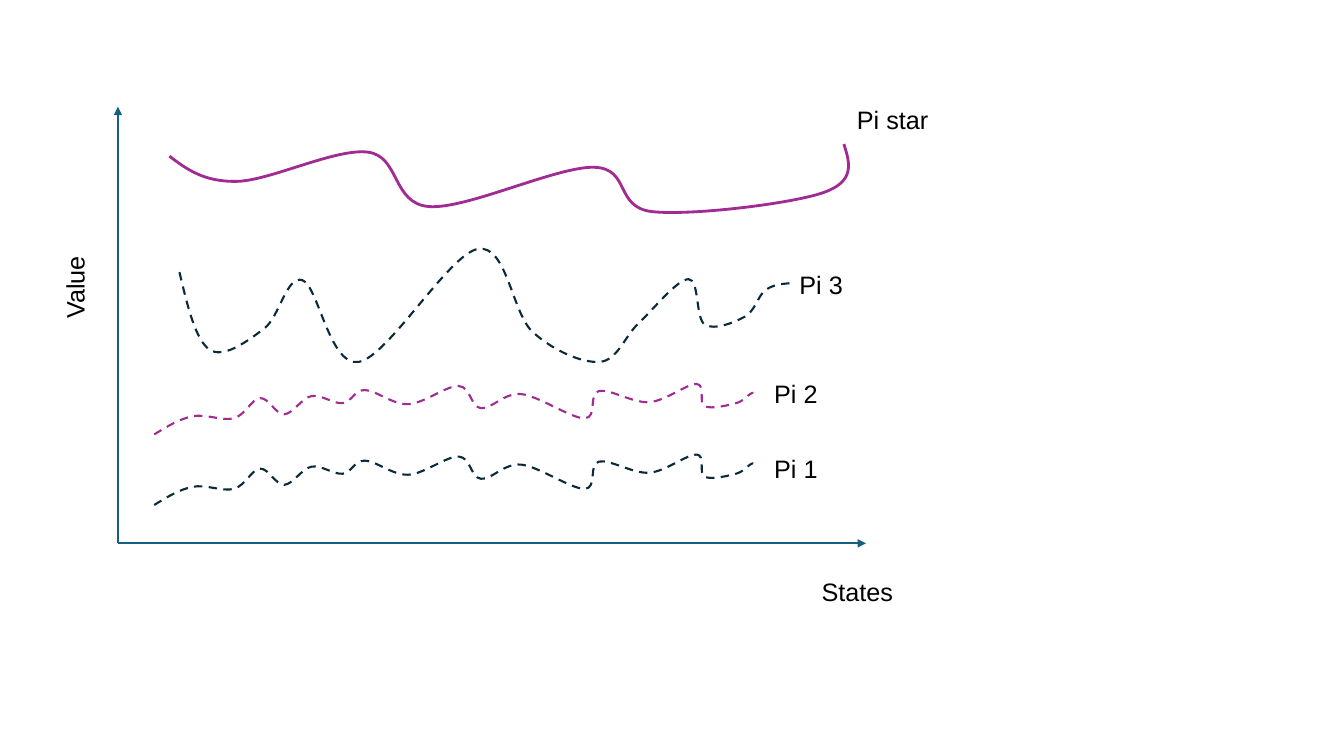
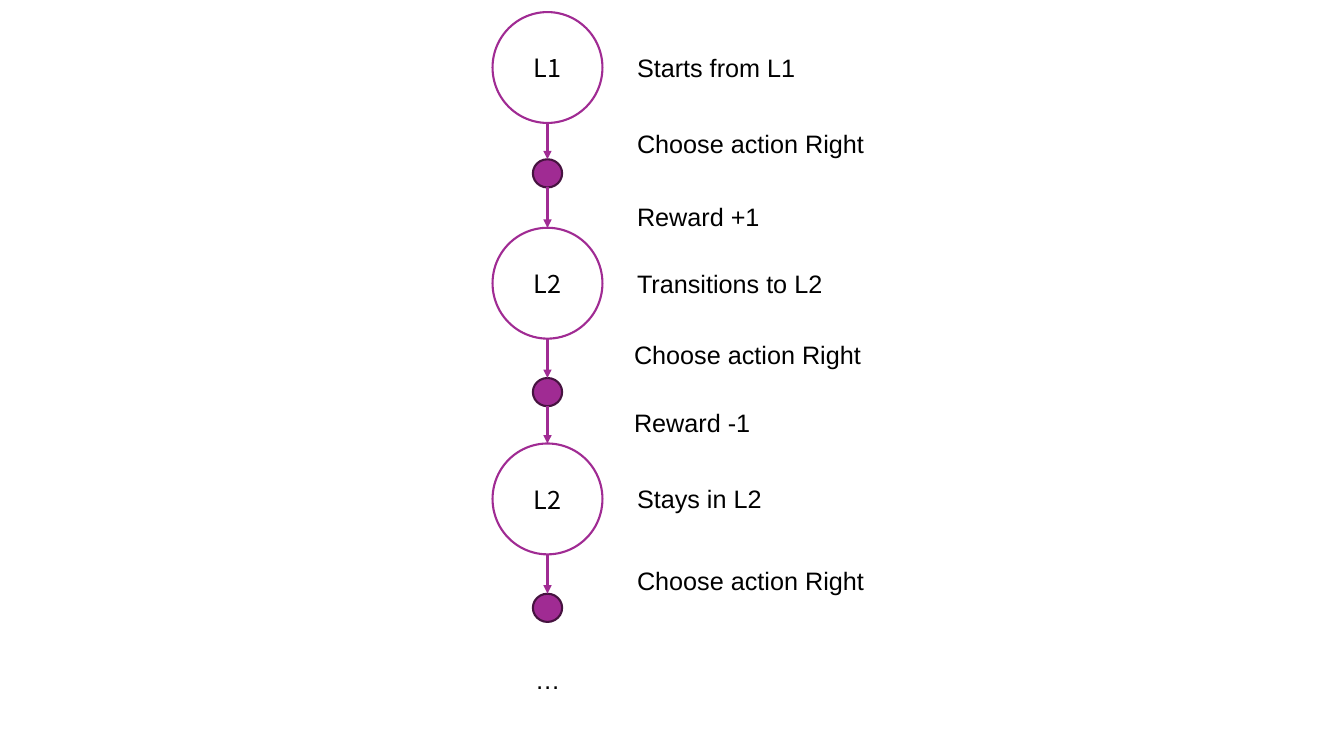
"""Build two slides: value curves of policies, and a chain of states and actions."""
from dataclasses import dataclass
from itertools import chain

from lxml.etree import SubElement
from pptx import Presentation
from pptx.dml.color import RGBColor
from pptx.enum.dml import MSO_LINE_DASH_STYLE as Dash
from pptx.enum.shapes import MSO_CONNECTOR as Connector
from pptx.enum.shapes import MSO_SHAPE as Preset
from pptx.enum.text import MSO_ANCHOR as Anchor
from pptx.enum.text import PP_ALIGN as Align
from pptx.oxml.ns import qn
from pptx.shapes.base import BaseShape
from pptx.slide import Slide
from pptx.text.text import TextFrame
from pptx.util import Inches, Pt

Point = tuple[float, float]


@dataclass(frozen=True)
class Theme:
    """Colours, fonts and sizes shared by the slides."""
    axis: str = "156082"
    ink: str = "092A39"
    accent: str = "A02B93"
    accent_dark: str = "461340"
    paper: str = "FFFFFF"
    text: str = "000000"
    label_font: str = "Arial"
    state_font: str = "Noto Sans CJK JP"
    size: float = 18
    thin: float = 1.5
    thick: float = 2


@dataclass(frozen=True)
class Label:
    """A line of text with its place, width and rotation."""
    text: str
    left: float
    top: float
    width: float = 1.45
    rotation: float = 0


@dataclass(frozen=True)
class Curve:
    """A policy's smooth curve through its turning points, with its label."""
    turns: tuple[Point, ...]
    label: Label
    color: str
    weight: float = 1.5
    dashed: bool = True
    shift: float = 0


@dataclass(frozen=True)
class Circle:
    """A round node of the chain, centred on its axis."""
    top: float
    width: float
    height: float
    fill: str
    line: str
    text: str = ""

    @property
    def bottom(self) -> float:
        """Return the lower edge."""
        return self.top + self.height


@dataclass(frozen=True)
class Step:
    """A state with its note, and the top of the action below it."""
    state: str
    note: str
    action_top: float


THEME = Theme()
LABEL_HEIGHT = 0.4

ORIGIN = (1.17, 5.39)
AXIS_ENDS = ((1.17, 1.06), (8.59, 5.39))
AXIS_LABELS = (Label("Value", 0.31, 2.63, 0.86, 270), Label("States", 8.05, 5.67))

WAVY_TURNS = (
    (1.53, 5.01), (1.91, 4.83), (2.32, 4.85), (2.58, 4.65), (2.82, 4.81), (3.09, 4.63),
    (3.4, 4.7), (3.62, 4.57), (4.05, 4.71), (4.55, 4.53), (4.77, 4.75), (5.17, 4.61),
    (5.8, 4.85), (5.94, 4.58), (6.44, 4.69), (6.91, 4.51), (6.99, 4.73), (7.3, 4.7),
    (7.44, 4.61), (7.47, 4.6),
)
STEEP_TURNS = (
    (1.78, 2.7), (2.08, 3.47), (2.62, 3.26), (3, 2.78), (3.56, 3.59), (4.74, 2.47),
    (5.28, 3.29), (5.95, 3.59), (6.34, 3.2), (6.83, 2.77), (6.99, 3.22), (7.39, 3.14),
    (7.59, 2.88), (7.83, 2.81),
)
BEST_TURNS = (
    (1.68, 1.55), (2.35, 1.8), (3.65, 1.51), (4.26, 2.05), (5.89, 1.66), (6.47, 2.1),
    (8.17, 1.91), (8.37, 1.43),
)
CURVES = (
    Curve(WAVY_TURNS, Label("Pi 1", 7.58, 4.45), THEME.ink),
    Curve(WAVY_TURNS, Label("Pi 2", 7.58, 3.7), THEME.accent, shift=-0.7),
    Curve(STEEP_TURNS, Label("Pi 3", 7.83, 2.62), THEME.ink),
    Curve(BEST_TURNS, Label("Pi star", 8.4, 0.99), THEME.accent, THEME.thick, dashed=False),
)

CHAIN_X = 5.43
FIRST_STATE_TOP, STATE_PITCH = 0.12, 2.14
STATE_WIDTH, STATE_HEIGHT = 1.09, 1.1
ACTION_WIDTH, ACTION_HEIGHT = 0.29, 0.28
NOTE_LEFT, INNER_NOTE_LEFT, NOTE_WIDTH = 6.22, 6.19, 2.6
STEPS = (
    Step("L1", "Starts from L1", 1.58),
    Step("L2", "Transitions to L2", 3.75),
    Step("L2", "Stays in L2", 5.89),
)
ACTION_NOTES = (
    Label("Choose action Right", NOTE_LEFT, 1.22, NOTE_WIDTH),
    Label("Reward +1", NOTE_LEFT, 1.95, NOTE_WIDTH),
    Label("Choose action Right", INNER_NOTE_LEFT, 3.32, NOTE_WIDTH),
    Label("Reward -1", INNER_NOTE_LEFT, 3.99, NOTE_WIDTH),
    Label("Choose action Right", NOTE_LEFT, 5.56, NOTE_WIDTH),
    Label("…", 5.21, 6.54, 0.5),
)


def style_line(shape: BaseShape, color: str, weight: float) -> None:
    """Set the colour and weight of an outline."""
    shape.line.color.rgb = RGBColor.from_string(color)
    shape.line.width = Pt(weight)


def write_text(frame: TextFrame, text: str, font: str, align: Align) -> None:
    """Write one formatted paragraph."""
    para = frame.paragraphs[0]
    para.alignment = align
    span = para.add_run()
    span.text = text
    for name, value in {"name": font, "size": Pt(THEME.size)}.items():
        setattr(span.font, name, value)
    span.font.color.rgb = RGBColor.from_string(THEME.text)


def add_label(page: Slide, label: Label) -> None:
    """Add a text box for a label."""
    box = page.shapes.add_textbox(
        Inches(label.left), Inches(label.top), Inches(label.width), Inches(LABEL_HEIGHT)
    )
    box.rotation = label.rotation
    box.text_frame.word_wrap = True
    write_text(box.text_frame, label.text, THEME.label_font, Align.LEFT)


def add_arrow(page: Slide, start: Point, end: Point, color: str, weight: float) -> None:
    """Add a straight arrow without a shadow."""
    ends = (Inches(value) for value in (*start, *end))
    arrow = page.shapes.add_connector(Connector.STRAIGHT, *ends)
    style_line(arrow, color, weight)
    properties = arrow._element.spPr
    SubElement(properties.find(qn("a:ln")), qn("a:tailEnd"), type="triangle")
    SubElement(properties, qn("a:effectLst"))


def blend(start: Point, end: Point, share: float) -> Point:
    """Return the point a share of the way from start to end."""
    return tuple(a + (b - a) * share for a, b in zip(start, end))


def handle(turn: Point, before: Point, after: Point, share: float) -> Point:
    """Return turn moved by a share of the step from before to after."""
    return tuple(t + (b - a) * share for t, a, b in zip(turn, before, after))


def smooth(turns: tuple[Point, ...]) -> list[Point]:
    """Return two controls and an end per segment, with tangents set by the neighbours."""
    inner = list(zip(turns, turns[1:], turns[2:]))
    arriving = [handle(turn, before, after, -1 / 6) for before, turn, after in inner]
    leaving = [handle(turn, before, after, 1 / 6) for before, turn, after in inner]
    first_control = blend(turns[0], arriving[0], 0.5)
    last_control = blend(turns[-1], leaving[-1], 0.5)
    segments = zip([first_control, *leaving], [*arriving, last_control], turns[1:])
    return list(chain.from_iterable(segments))


def add_curve(page: Slide, curve: Curve) -> None:
    """Add an open freeform made of Bezier segments."""
    route = [curve.turns[0], *smooth(curve.turns)]
    start, *rest = [(Inches(x), Inches(y + curve.shift)) for x, y in route]
    builder = page.shapes.build_freeform(*start)
    builder.add_line_segments(rest, close=False)
    shape = builder.convert_to_shape()
    shape.shadow.inherit = False
    shape.fill.background()
    style_line(shape, curve.color, curve.weight)
    if curve.dashed:
        shape.line.dash_style = Dash.DASH
    steps = list(shape._element.iter(qn("a:lnTo")))
    outline = steps[0].getparent()
    for first in range(0, len(steps), 3):
        segment = SubElement(outline, qn("a:cubicBezTo"))
        for step in steps[first:first + 3]:
            segment.append(step[0])
            outline.remove(step)


def add_circle(page: Slide, circle: Circle) -> None:
    """Add a round node with its optional text."""
    shape = page.shapes.add_shape(
        Preset.OVAL, Inches(CHAIN_X - circle.width / 2), Inches(circle.top),
        Inches(circle.width), Inches(circle.height),
    )
    shape.shadow.inherit = False
    shape.fill.solid()
    shape.fill.fore_color.rgb = RGBColor.from_string(circle.fill)
    style_line(shape, circle.line, THEME.thin)
    if circle.text:
        shape.text_frame.vertical_anchor = Anchor.MIDDLE
        write_text(shape.text_frame, circle.text, THEME.state_font, Align.CENTER)


def draw_values(page: Slide) -> None:
    """Draw the value of each policy over the states."""
    for end in AXIS_ENDS:
        add_arrow(page, ORIGIN, end, THEME.axis, THEME.thin)
    for curve in CURVES:
        add_curve(page, curve)
    for label in (*AXIS_LABELS, *(curve.label for curve in CURVES)):
        add_label(page, label)


def draw_chain(page: Slide) -> None:
    """Draw the states and actions with the arrows and notes beside them."""
    nodes = []
    for row, step in enumerate(STEPS):
        top = FIRST_STATE_TOP + STATE_PITCH * row
        nodes += [
            Circle(top, STATE_WIDTH, STATE_HEIGHT, THEME.paper, THEME.accent, step.state),
            Circle(step.action_top, ACTION_WIDTH, ACTION_HEIGHT, THEME.accent, THEME.accent_dark),
        ]
        note_top = top + (STATE_HEIGHT - LABEL_HEIGHT) / 2
        add_label(page, Label(step.note, NOTE_LEFT, note_top, NOTE_WIDTH))
    for node in nodes:
        add_circle(page, node)
    for upper, lower in zip(nodes, nodes[1:]):
        add_arrow(
            page, (CHAIN_X, upper.bottom), (CHAIN_X, lower.top), THEME.accent, THEME.thick
        )
    for label in ACTION_NOTES:
        add_label(page, label)


def main() -> None:
    """Build and save the deck."""
    deck = Presentation()
    deck.slide_width, deck.slide_height = Inches(13.33), Inches(7.5)
    for draw in (draw_values, draw_chain):
        draw(deck.slides.add_slide(deck.slide_layouts[6]))
    deck.save("out.pptx")


if __name__ == "__main__":
    main()
